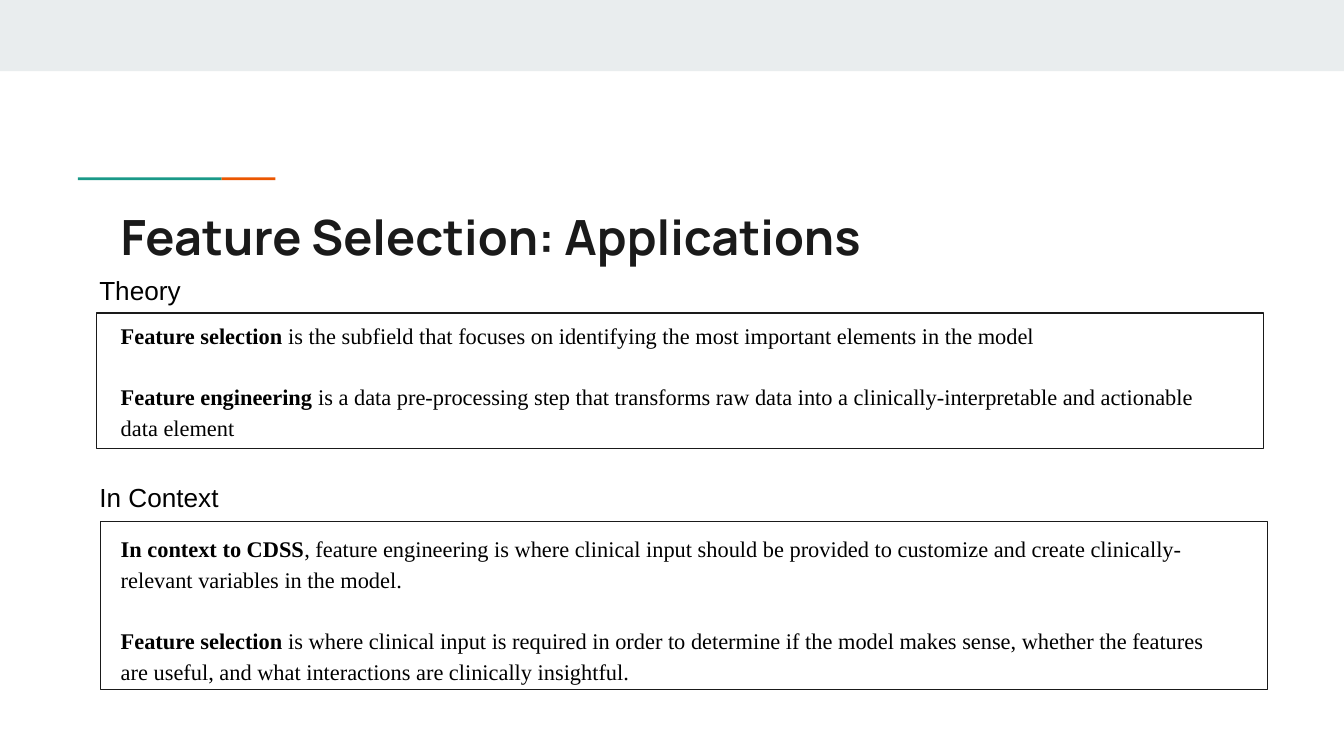
from pptx import Presentation
from pptx.dml.color import RGBColor
from pptx.enum.shapes import MSO_SHAPE as Shape
from pptx.util import Inches, Pt

COLORS = {"band": "E9EDEE", "teal": "1A9988", "orange": "EB5600", "ink": "1A1A1A", "black": "000000"}
TITLE = {"name": "Manrope", "size": Pt(26), "bold": True}
LABEL = {"name": "Arial", "size": Pt(14), "bold": False}
BODY = {"name": "Times New Roman", "size": Pt(12)}

deck = Presentation()
deck.slide_width = Inches(10)
deck.slide_height = Inches(10 * 9 / 16)
page = deck.slides.add_slide(deck.slide_layouts[6])


def add_text(left, top, width, height, paragraphs, color, spacing=1.0):
    box = page.shapes.add_textbox(Inches(left), Inches(top), Inches(width), Inches(height))
    frame = box.text_frame
    frame.word_wrap = True
    for side in ("left", "top", "right", "bottom"):
        setattr(frame, f"margin_{side}", Inches(0.1))
    for index, (before, spans) in enumerate(paragraphs):
        para = frame.add_paragraph() if index else frame.paragraphs[0]
        para.line_spacing = spacing
        para.space_before = Pt(before)
        for text, style in spans:
            span = para.add_run()
            span.text = text
            span.font.color.rgb = RGBColor.from_string(COLORS[color])
            for name, value in style.items():
                setattr(span.font, name, value)


def add_rectangle(left, top, width, height, fill=None):
    box = page.shapes.add_shape(Shape.RECTANGLE, Inches(left), Inches(top), Inches(width), Inches(height))
    box.shadow.inherit = False
    if fill:
        box.fill.solid()
        box.fill.fore_color.rgb = RGBColor.from_string(COLORS[fill])
        box.line.fill.background()
    else:
        box.fill.background()
        box.line.color.rgb = RGBColor.from_string(COLORS["ink"])
        box.line.width = Pt(0.75)


add_rectangle(0, 0, 10, 0.53, "band")
add_rectangle(0.58, 1.32, 1.07, 0.02, "teal")
add_rectangle(1.65, 1.32, 0.4, 0.02, "orange")

add_text(0.8, 1.44, 8.41, 0.59, [(0, [("Feature Selection: Applications", TITLE)])], "ink")

definitions = [
    (0, "Feature selection",
     " is the subfield that focuses on identifying the most important elements in the model"),
    (16, "Feature engineering",
     " is a data pre-processing step that transforms raw data into a clinically-interpretable "
     "and actionable data element"),
    (48.5, "In context to CDSS",
     ", feature engineering is where clinical input should be provided to customize and create "
     "clinically-relevant variables in the model."),
    (16, "Feature selection",
     " is where clinical input is required in order to determine if the model makes sense, "
     "whether the features are useful, and what interactions are clinically insightful."),
]
body = [
    (before, [(term, {**BODY, "bold": True}), (meaning, {**BODY, "bold": False})])
    for before, term, meaning in definitions
]
add_text(0.8, 2.27, 8.41, 2.47, body, "black", 1.15)

sections = [("Theory", 1.94, 0.72, 2.33, 1.01), ("In Context", 3.48, 0.75, 3.88, 1.25)]
for label, label_top, left, top, height in sections:
    add_rectangle(left, top, 8.68, height)
    add_text(0.64, label_top, 5.92, 0.69, [(0, [(label, LABEL)])], "black")

deck.save("out.pptx")
